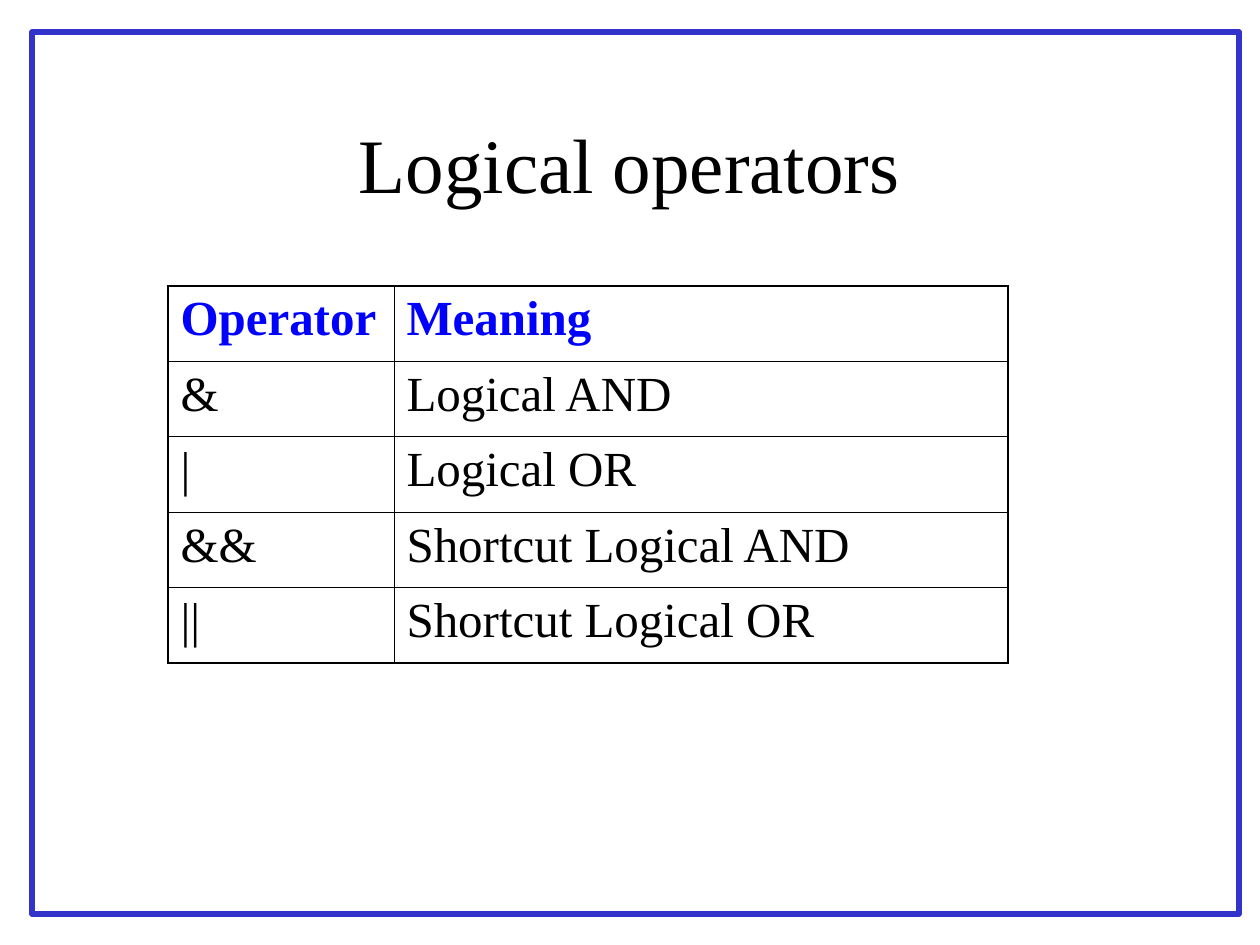
from lxml.etree import SubElement
from pptx import Presentation
from pptx.dml.color import RGBColor
from pptx.enum.shapes import MSO_SHAPE as Shape
from pptx.enum.text import MSO_ANCHOR as Anchor, PP_ALIGN as Align
from pptx.oxml.ns import qn
from pptx.util import Emu, Inches, Pt

BLACK = RGBColor(0, 0, 0)
WHITE = RGBColor(255, 255, 255)
BLUE = RGBColor(0, 0, 255)
EDGE = RGBColor(0x33, 0x33, 0xCC)
FACE = "Times New Roman"
THIN, THICK = Pt(0.45), Pt(1.08)
ROWS = [
    ("Operator", "Meaning"),
    ("&", "Logical AND"),
    ("|", "Logical OR"),
    ("&&", "Shortcut Logical AND"),
    ("||", "Shortcut Logical OR"),
]


def px(*vals):
    return [Emu(round(val * Inches(1) / 126)) for val in vals]


def style(para, size, color, bold=False):
    font = para.runs[0].font
    font.name, font.size, font.bold = FACE, Pt(size), bold
    font.color.rgb = color


deck = Presentation()
deck.slide_width, deck.slide_height = Inches(10), Inches(7.5)
slide = deck.slides.add_slide(deck.slide_layouts[5])
shapes = slide.shapes

frame = shapes.add_shape(Shape.RECTANGLE, *px(32, 32, 1207, 882))
frame.shadow.inherit = False
frame.fill.solid()
frame.fill.fore_color.rgb = WHITE
frame.line.color.rgb = EDGE
frame.line.width = Pt(3)

title = shapes.title
frame._element.addnext(title._element)
title.left, title.top, title.width, title.height = px(94, 84, 1071, 158)
title.text_frame.text = "Logical operators"
title.text_frame.vertical_anchor = Anchor.MIDDLE
head = title.text_frame.paragraphs[0]
head.alignment = Align.CENTER
style(head, 44, BLACK)

last = len(ROWS) - 1
grid = shapes.add_table(len(ROWS), 2, *px(168, 286, 840, 377)).table
grid.horz_banding = False
for col, width in zip(grid.columns, px(226, 614)):
    col.width = width

for i, row in enumerate(ROWS):
    for j, text in enumerate(row):
        cell = grid.cell(i, j)
        cell.text_frame.text = text
        style(cell.text_frame.paragraphs[0], 28, BLACK if i else BLUE, i == 0)
        outer = {"lnL": j == 0, "lnR": j == 1, "lnT": i == 0, "lnB": i == last}
        props = cell._tc.get_or_add_tcPr()
        for side, edge in outer.items():
            line = SubElement(props, qn(f"a:{side}"), w=str(THICK if edge else THIN))
            fill = SubElement(line, qn("a:solidFill"))
            SubElement(fill, qn("a:srgbClr"), val=str(BLACK))
        cell.fill.background()

deck.save("out.pptx")
